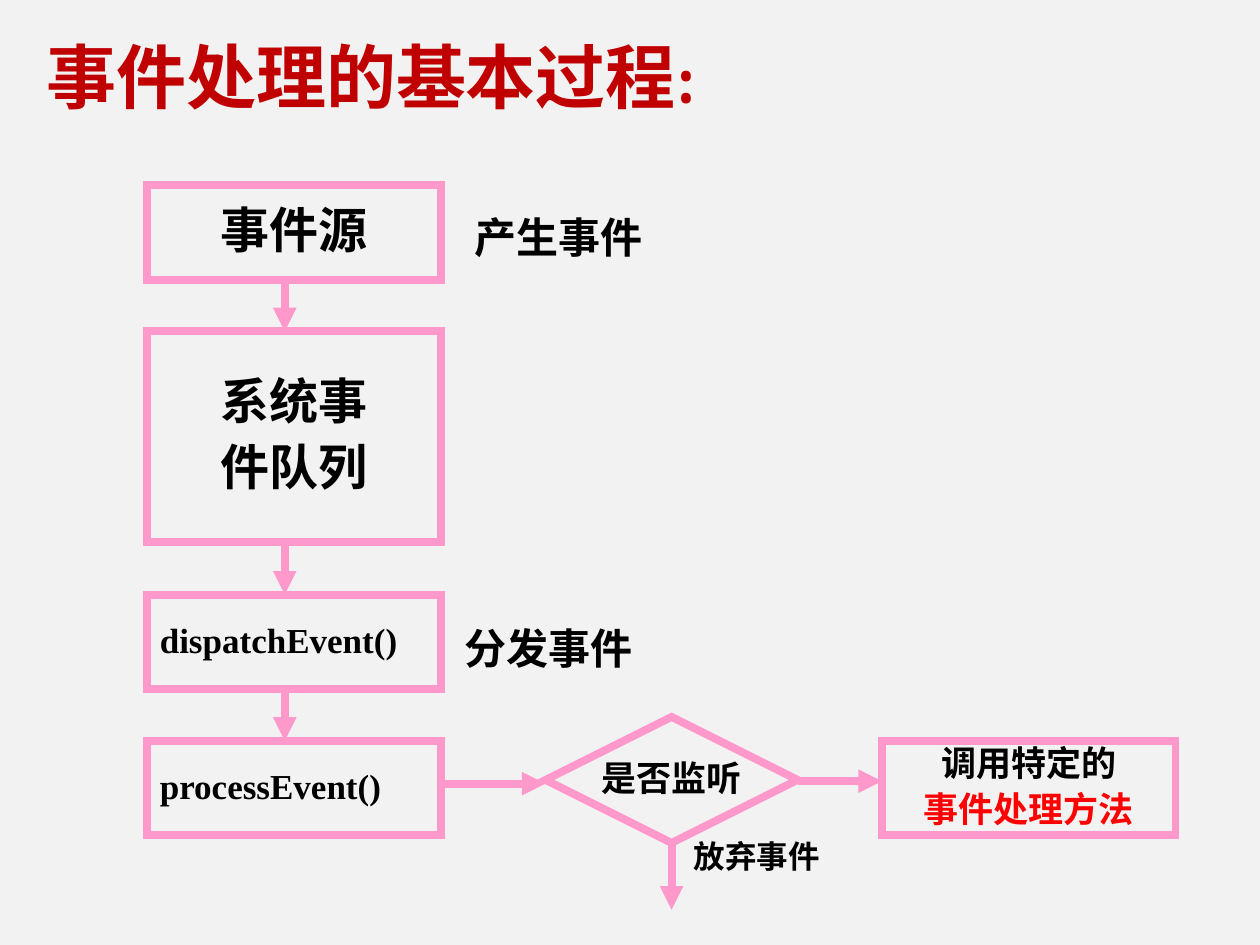
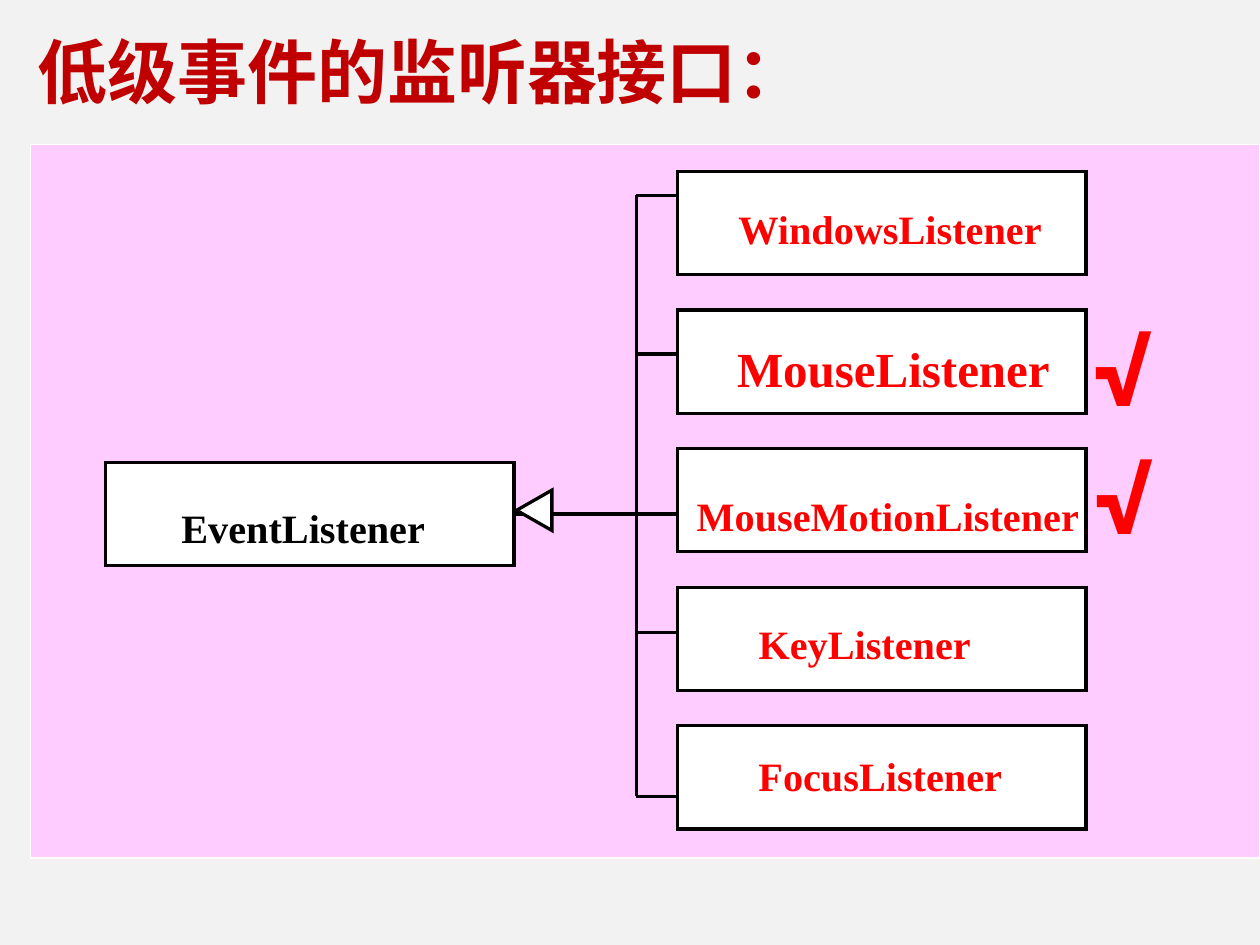
from pptx import Presentation
from pptx.dml.color import RGBColor
from pptx.enum.shapes import MSO_CONNECTOR, MSO_SHAPE
from pptx.enum.text import MSO_ANCHOR, MSO_AUTO_SIZE, PP_ALIGN
from pptx.oxml.ns import qn
from pptx.util import Inches, Pt
from lxml.etree import SubElement

BG, TITLE, PINK, PANEL = "F2F2F2", "C00000", "FF99CC", "FFCCFF"
BLACK, RED, WHITE = "000000", "FF0000", "FFFFFF"
TIMES, CAMBRIA, CJK, ROBOTO = "Times New Roman", "Cambria", "Noto Sans CJK SC", "Roboto"
THICK, THIN = 4.5, 1.87
LEFT, CENTER = PP_ALIGN.LEFT, PP_ALIGN.CENTER

FLOW_TITLE = (0.27, 0.22, "事件处理的基本过程:", CAMBRIA)
STEP_X, STEP_W, STEP_H, ARROW_X = 1.17, 2.33, 0.75, 2.26
STEPS = [
    (1.47, STEP_H, ["事件源"], 28, CENTER),
    (2.63, 1.67, ["系统事", "件队列"], 28, CENTER),
    (4.72, STEP_H, ["dispatchEvent()"], 20, LEFT),
    (5.88, STEP_H, ["processEvent()"], 20, LEFT),
]
DECISION = (4.33, 5.69, 2, 1)
HANDLER = (7, 5.88, STEP_W, STEP_H)
FLOW_LABELS = [
    (5.41, 6.47, 1.2, 0.52, "放弃事件", 18, TIMES),
    (3.59, 4.73, 1.53, 0.66, "分发事件", 24, CAMBRIA),
    (3.67, 1.47, 1.53, 0.66, "产生事件", 24, CAMBRIA),
]

TREE_TITLE = (0.2, 0.18, "低级事件的监听器接口：", CJK)
NODE_W, NODE_H = 3.24, 0.82
ROOT = (0.84, 3.67, NODE_W, NODE_H)
ROOT_LABEL = (1.06, 3.84, 2.4, 0.54, "EventListener", 23)
NODE_X, NODE_Y, NODE_STEP, TRUNK_X = 5.38, 1.36, 1.1, 5.05
LISTENERS = [
    (5.48, 1.47, 2.88, 0.54, "WindowsListener", 23),
    (5.47, 2.5, 3.23, 0.65, "MouseListener", 28),
    (5.15, 3.75, 3.5, 0.54, "MouseMotionListener", 23),
    (5.64, 4.76, 2.15, 0.54, "KeyListener", 23),
    (5.64, 5.81, 2.4, 0.54, "FocusListener", 23),
]
BRANCH_YS = [1.55, 2.81, 5.02, 6.32]
INHERIT_Y = 4.08
TRIANGLE = [(4.1, 4.05), (4.38, 4.21), (4.38, 3.89)]
CHECKS = [(8.58, 2.34), (8.59, 3.36)]


def rgb(value):
    return RGBColor.from_string(value)


def inches(*values):
    return [Inches(v) for v in values]


def new_slide(prs, title):
    s = prs.slides.add_slide(prs.slide_layouts[6])
    s.background.fill.solid()
    s.background.fill.fore_color.rgb = rgb(BG)
    x, y, text, font = title
    add_text(s, (x, y, 8.5, 1.29), text, 40, font, TITLE, wrap=True)
    return s


def write(tf, lines, size, font, colors, align=LEFT, spacing=1.0, gap=0):
    for i, (line, color) in enumerate(zip(lines, colors)):
        p = tf.paragraphs[0] if i == 0 else tf.add_paragraph()
        p.text = line
        p.alignment = align
        p.line_spacing = spacing
        if i:
            p.space_before = Pt(gap)
        r = p.runs[0]
        r.font.size = Pt(size)
        r.font.name = font
        r.font.bold = True
        r.font.color.rgb = rgb(color)
        SubElement(r.font._element, qn("a:ea")).set("typeface", CJK)


def add_text(s, box, text, size, font, color, spacing=1.0, wrap=False, indent=0, margins=True):
    sp = s.shapes.add_textbox(*inches(*box))
    tf = sp.text_frame
    tf.word_wrap = wrap
    tf.auto_size = MSO_AUTO_SIZE.NONE if wrap else MSO_AUTO_SIZE.SHAPE_TO_FIT_TEXT
    if not margins:
        tf.margin_left = tf.margin_right = tf.margin_top = tf.margin_bottom = 0
    write(tf, [text], size, font, [color], spacing=spacing)
    if indent:
        tf.paragraphs[0]._p.get_or_add_pPr().set("marL", str(Inches(indent)))


def paint(sp, line, width, fill=None):
    sp.shadow.inherit = False
    if fill:
        sp.fill.solid()
        sp.fill.fore_color.rgb = rgb(fill)
    else:
        sp.fill.background()
    sp.line.color.rgb = rgb(line)
    sp.line.width = Pt(width)
    SubElement(sp.line._get_or_add_ln(), qn("a:miter")).set("lim", "800000")
    return sp


def add_box(s, box, line, width, fill=None, kind=MSO_SHAPE.RECTANGLE):
    return paint(s.shapes.add_shape(kind, *inches(*box)), line, width, fill)


def add_flow_box(s, box, lines, size, align=CENTER, colors=(BLACK, BLACK), kind=MSO_SHAPE.RECTANGLE):
    sp = add_box(s, box, PINK, THICK, kind=kind)
    tf = sp.text_frame
    tf.word_wrap = False
    tf.vertical_anchor = MSO_ANCHOR.MIDDLE
    write(tf, lines, size, TIMES, colors, align, 0.9, size / 4)
    return sp


def add_line(s, start, end, color, width, arrow=False):
    c = s.shapes.add_connector(MSO_CONNECTOR.STRAIGHT, *inches(*start, *end))
    c.line.color.rgb = rgb(color)
    c.line.width = Pt(width)
    if arrow:
        SubElement(c.line._get_or_add_ln(), qn("a:tailEnd")).set("type", "triangle")
    SubElement(c._element.spPr, qn("a:effectLst"))
    return c


def add_arrow(s, start, end):
    return add_line(s, start, end, PINK, THICK, arrow=True)


def add_listener_label(s, label, color):
    *box, text, size = label
    add_text(s, box, text, size, TIMES, color, 1.4, wrap=True, indent=0.38, margins=False)


def build_flow(prs):
    s = new_slide(prs, FLOW_TITLE)
    for y, h, lines, size, align in STEPS:
        add_flow_box(s, (STEP_X, y, STEP_W, h), lines, size, align)
    add_flow_box(s, HANDLER, ["调用特定的", "事件处理方法"], 20, colors=(BLACK, RED))
    decision = add_flow_box(s, DECISION, ["是否监听"], 20, kind=MSO_SHAPE.FLOWCHART_DECISION)
    for upper, lower in zip(STEPS, STEPS[1:]):
        add_arrow(s, (ARROW_X, upper[0] + upper[1]), (ARROW_X, lower[0]))
    x, y, w, h = DECISION
    add_arrow(s, (STEP_X + STEP_W, 6.22), (x, 6.22))
    add_arrow(s, (x + w, 6.2), (HANDLER[0], 6.2))
    add_arrow(s, (x + w / 2, y + h), (x + w / 2, 7.22)).begin_connect(decision, 2)
    for *box, text, size, font in FLOW_LABELS:
        add_text(s, box, text, size, font, BLACK, 1.4)


def build_tree(prs):
    s = new_slide(prs, TREE_TITLE)
    add_box(s, (0.24, 1.15, 9.76, 5.66), WHITE, 0.75, PANEL)
    root = add_box(s, ROOT, BLACK, THIN, WHITE)
    add_listener_label(s, ROOT_LABEL, BLACK)
    for i, label in enumerate(LISTENERS):
        add_box(s, (NODE_X, NODE_Y + i * NODE_STEP, NODE_W, NODE_H), BLACK, THIN, WHITE)
        add_listener_label(s, label, RED)
    add_line(s, (TRUNK_X, BRANCH_YS[0]), (TRUNK_X, BRANCH_YS[-1]), BLACK, THIN)
    for y in BRANCH_YS:
        add_line(s, (TRUNK_X, y), (NODE_X, y), BLACK, THIN)
    inherit = add_line(s, (NODE_X, INHERIT_Y), (ROOT[0] + NODE_W, INHERIT_Y), BLACK, THIN)
    inherit.end_connect(root, 3)
    points = [inches(*pt) for pt in TRIANGLE]
    fb = s.shapes.build_freeform(*points[0])
    fb.add_line_segments(points[1:], close=True)
    paint(fb.convert_to_shape(), BLACK, THIN, WHITE)
    for x, y in CHECKS:
        add_text(s, (x, y, 1.14, 2.1), "√", 60, ROBOTO, RED, wrap=True)


def main():
    prs = Presentation()
    prs.slide_width, prs.slide_height = inches(10, 7.5)
    build_flow(prs)
    build_tree(prs)
    prs.save("out.pptx")


if __name__ == "__main__":
    main()
